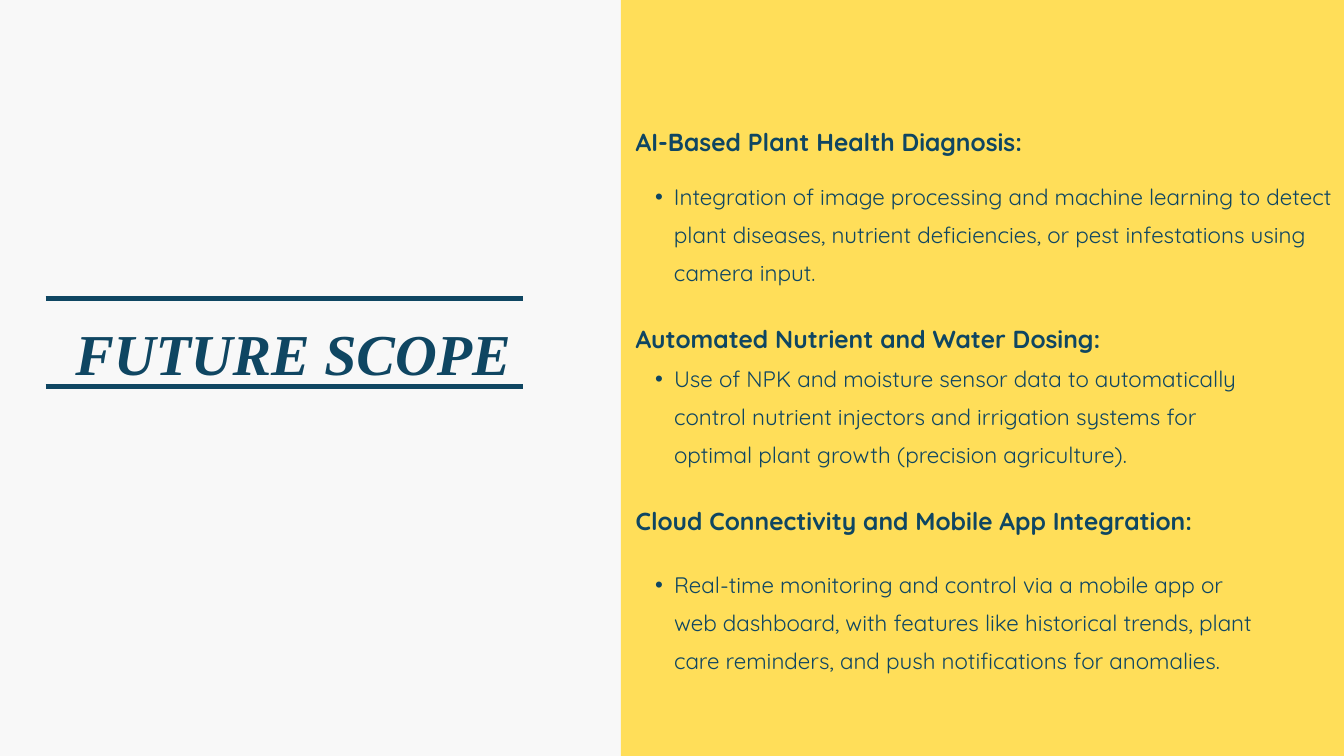
from lxml import etree
from pptx import Presentation
from pptx import util as u
from pptx.dml.color import RGBColor
from pptx.enum import shapes, text
from pptx.oxml.ns import qn

NAVY = RGBColor(0x0F, 0x46, 0x62)
YELLOW = RGBColor(0xFF, 0xDE, 0x59)
PAPER = RGBColor(0xF8, 0xF8, 0xF8)
SANS = "Quicksand"
SERIF = "Times New Roman"

LEFT = 47.3  # left edge of the right-hand text
WIDE = 47.05

# heading, its top, point, top and width of the point
TOPICS = [
    ("AI-Based Plant Health Diagnosis:", 15.2,
     "Integration of image processing and machine learning to detect plant "
     "diseases, nutrient deficiencies, or pest infestations using camera input.",
     22.76, 54.7),
    ("Automated Nutrient and Water Dosing:", 41.16,
     "Use of NPK and moisture sensor data to automatically control nutrient "
     "injectors and irrigation systems for optimal plant growth (precision "
     "agriculture).",
     46.84, WIDE),
    ("Cloud Connectivity and Mobile App Integration:", 65.24,
     "Real-time monitoring and control via a mobile app or web dashboard, with "
     "features like historical trends, plant care reminders, and push "
     "notifications for anomalies.",
     74.04, WIDE),
]


class Page:
    """Style and current slide; lengths are percent of the slide's size."""

    def __init__(self, deck):
        self.deck = deck
        self.slide = deck.slides.add_slide(deck.slide_layouts[5])
        fill = self.slide.background.fill
        fill.solid()
        fill.fore_color.rgb = PAPER

    def x(self, share):
        return u.Emu(round(self.deck.slide_width * share / 100))

    def y(self, share):
        return u.Emu(round(self.deck.slide_height * share / 100))

    def area(self, left, top, width, height):
        return self.x(left), self.y(top), self.x(width), self.y(height)

    def panel(self, *area):
        box = self.slide.shapes.add_shape(
            shapes.MSO_SHAPE.RECTANGLE, *self.area(*area))
        box.shadow.inherit = False
        box.fill.solid()
        box.fill.fore_color.rgb = YELLOW
        box.line.fill.background()

    def rule(self, left, right, top):
        line = self.slide.shapes.add_connector(
            shapes.MSO_CONNECTOR.STRAIGHT,
            self.x(left), self.y(top), self.x(right), self.y(top))
        line.line.color.rgb = NAVY
        line.line.width = u.Pt(6)
        etree.SubElement(line._element.spPr, qn("a:effectLst"))

    def label(self, shape, words, size, lead, face=SANS, bold=False, italic=False):
        """Fill a shape with one paragraph and return that paragraph."""
        frame = shape.text_frame
        frame.word_wrap = True
        frame.auto_size = text.MSO_AUTO_SIZE.NONE
        frame.vertical_anchor = text.MSO_ANCHOR.TOP
        frame.margin_left = frame.margin_right = 0
        frame.margin_top = frame.margin_bottom = 0
        para = frame.paragraphs[0]
        para.line_spacing = u.Pt(lead)
        run = para.add_run()
        run.text = words
        font = run.font
        font.name, font.size = face, u.Pt(size)
        font.bold, font.italic = bold, italic
        font.color.rgb = NAVY
        return para

    def title(self, words, *area):
        shape = self.slide.shapes.title
        shape.left, shape.top, shape.width, shape.height = self.area(*area)
        para = self.label(shape, words, 62, 86.8, SERIF, True, True)
        para.alignment = text.PP_ALIGN.JUSTIFY

    def heading(self, words, *area):
        shape = self.slide.shapes.add_textbox(*self.area(*area))
        self.label(shape, words, 26.4, 44.9, bold=True)

    def point(self, words, *area):
        shape = self.slide.shapes.add_textbox(*self.area(*area))
        para = self.label(shape, words, 24, 40.8)
        para.level = 1
        props = para._p.get_or_add_pPr()
        props.set("marL", str(u.Inches(0.57)))
        props.set("indent", str(u.Inches(-0.28)))
        etree.SubElement(props, qn("a:buFont")).set("typeface", "Arial")
        etree.SubElement(props, qn("a:buChar")).set("char", "•")


def main():
    deck = Presentation()
    deck.slide_width, deck.slide_height = u.Inches(20), u.Inches(11.25)
    page = Page(deck)
    page.panel(46.2, 0, 53.8, 100)
    page.title("FUTURE SCOPE", 5.6, 40.53, 51.85, 10.22)
    for top in (39.47, 51.11):
        page.rule(3.4, 38.9, top)
    for head, high, words, low, width in TOPICS:
        page.heading(head, LEFT, high, WIDE, 5.07)
        page.point(words, LEFT, low, width, 14.76)
    deck.save("out.pptx")


if __name__ == "__main__":
    main()
